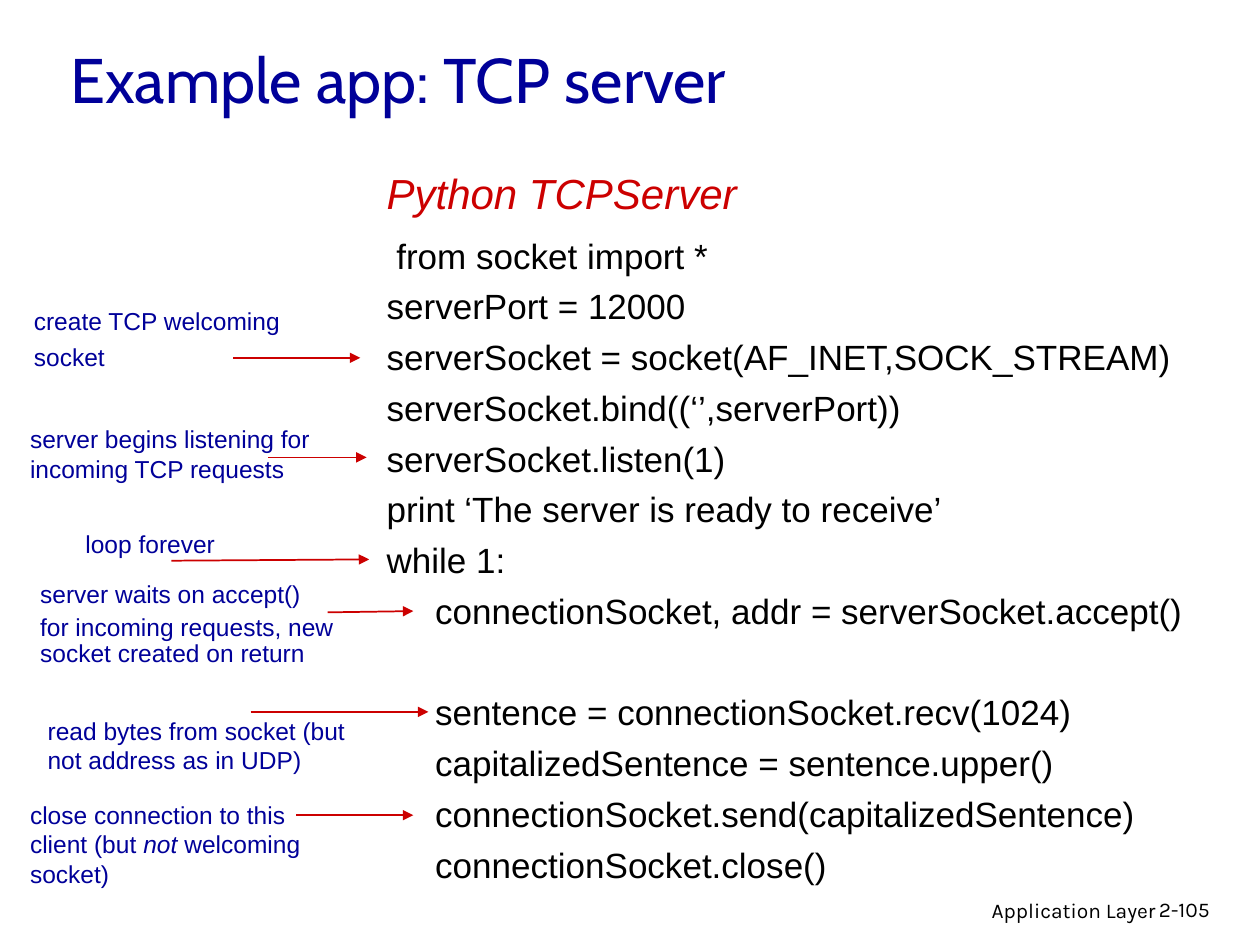
import dataclasses
import typing

import lxml.etree
import pptx
import pptx.dml.color
import pptx.enum.shapes
import pptx.enum.text
import pptx.oxml.ns
import pptx.util

SCALE = 9144  # EMU in one px, 100 px to the inch
MARK = "|"  # encloses italic words in a note

Color = pptx.dml.color.RGBColor
Align = pptx.enum.text.PP_ALIGN
Anchor = pptx.enum.text.MSO_ANCHOR


@dataclasses.dataclass(frozen=True)
class Theme:
    blue: Color = Color(0x00, 0x00, 0x99)
    red: Color = Color(0xCC, 0x00, 0x00)
    black: Color = Color(0x00, 0x00, 0x00)
    title: int = 36
    head: int = 24
    code: int = 20
    note: int = 14
    foot: int = 12


THEME = Theme()


class Box(typing.NamedTuple):
    left: int
    top: int
    width: int
    height: int


class Style(typing.NamedTuple):
    font: str
    size: int
    color: Color
    italic: bool = False
    align: Align = Align.LEFT
    anchor: Anchor = Anchor.TOP
    wrap: bool = True
    gap: float = 0
    pitch: typing.Optional[float] = None


class Arrow(typing.NamedTuple):
    x1: int
    y1: int
    x2: int
    y2: int


class Note(typing.NamedTuple):
    box: Box
    lines: tuple[str, ...]
    arrow: Arrow
    pitch: typing.Optional[float] = None


TITLE = Style("Cabin", THEME.title, THEME.blue, anchor=Anchor.MIDDLE)
HEAD = Style("Arial", THEME.head, THEME.red, italic=True, wrap=False)
CODE = Style("Arial", THEME.code, THEME.black, wrap=False, gap=5)
NOTE = Style("Arial", THEME.note, THEME.blue, gap=3.5)
FOOT = Style("Karla", THEME.foot, THEME.black)

BREAK = 34  # points above the code line that follows a skipped line
INDENT = " " * 5
SETUP = (
    " from socket import *",
    "serverPort = 12000",
    "serverSocket = socket(AF_INET,SOCK_STREAM)",
    "serverSocket.bind((‘’,serverPort))",
    "serverSocket.listen(1)",
    "print ‘The server is ready to receive’",
    "while 1:",
    INDENT + "connectionSocket, addr = serverSocket.accept()",
)
REPLY = (
    "sentence = connectionSocket.recv(1024)",
    "capitalizedSentence = sentence.upper()",
    "connectionSocket.send(capitalizedSentence)",
    "connectionSocket.close()",
)

NOTES = (
    Note(Box(17, 238, 279, 62), ("create TCP welcoming", "socket"),
         Arrow(185, 284, 286, 284)),
    Note(Box(14, 332, 247, 57),
         ("server begins listening for incoming TCP requests",),
         Arrow(213, 363, 291, 363)),
    Note(Box(58, 417, 130, 31), ("loop forever",),
         Arrow(136, 445, 293, 444), 15.2),
    Note(Box(22, 457, 280, 79),
         ("server waits on accept()",
          "for incoming requests, new socket created on return"),
         Arrow(260, 486, 328, 485), 15.2),
    Note(Box(28, 563, 256, 57),
         ("read bytes from socket (but not address as in UDP)",),
         Arrow(199, 565, 340, 565)),
    Note(Box(14, 630, 256, 80),
         ("close connection to this client (but |not| welcoming socket)",),
         Arrow(235, 647, 328, 647)),
)


def px(*nums: int) -> list[pptx.util.Emu]:
    return [pptx.util.Emu(num * SCALE) for num in nums]


def write(slide, box: Box, lines: typing.Sequence[str], style: Style):
    """Add a text box with one paragraph a line; return its paragraphs."""
    frame = slide.shapes.add_textbox(*px(*box)).text_frame
    frame.word_wrap = style.wrap
    frame.vertical_anchor = style.anchor
    for num, line in enumerate(lines):
        para = frame.add_paragraph() if num else frame.paragraphs[0]
        para.alignment = style.align
        if num:
            para.space_before = pptx.util.Pt(style.gap)
        if style.pitch:
            para.line_spacing = pptx.util.Pt(style.pitch)
        para.font.name = style.font
        para.font.size = pptx.util.Pt(style.size)
        para.font.color.rgb = style.color
        para.font.italic = style.italic
        for spot, part in enumerate(line.split(MARK)):
            run = para.add_run()
            run.text = part
            if spot % 2:
                run.font.italic = True
    return frame.paragraphs


def point(slide, arrow: Arrow) -> None:
    """Draw a thin red line with an arrowhead at its end."""
    kind = pptx.enum.shapes.MSO_CONNECTOR.STRAIGHT
    link = slide.shapes.add_connector(kind, *px(*arrow))
    link.line.color.rgb = THEME.red
    link.line.width = pptx.util.Pt(1)
    qn = pptx.oxml.ns.qn
    stroke = link.line._get_or_add_ln()
    lxml.etree.SubElement(stroke, qn("a:tailEnd"), type="triangle")
    lxml.etree.SubElement(link._element.spPr, qn("a:effectLst"))


def main() -> None:
    deck = pptx.Presentation()
    deck.slide_width, deck.slide_height = px(1000, 750)
    slide = deck.slides.add_slide(deck.slide_layouts[6])

    write(slide, Box(610, 707, 317, 31), ["Application Layer"],
          FOOT._replace(align=Align.RIGHT))
    write(slide, Box(910, 707, 74, 30), ["2-105"], FOOT)
    write(slide, Box(46, 10, 850, 104), ["Example app: TCP server"], TITLE)

    code = SETUP + tuple(INDENT + line for line in REPLY)
    paras = write(slide, Box(297, 181, 652, 527), code, CODE)
    paras[len(SETUP)].space_before = pptx.util.Pt(BREAK)
    write(slide, Box(297, 128, 298, 50), ["Python TCPServer"], HEAD)

    for note in NOTES:
        write(slide, note.box, note.lines, NOTE._replace(pitch=note.pitch))
        point(slide, note.arrow)

    deck.save("out.pptx")


if __name__ == "__main__":
    main()
